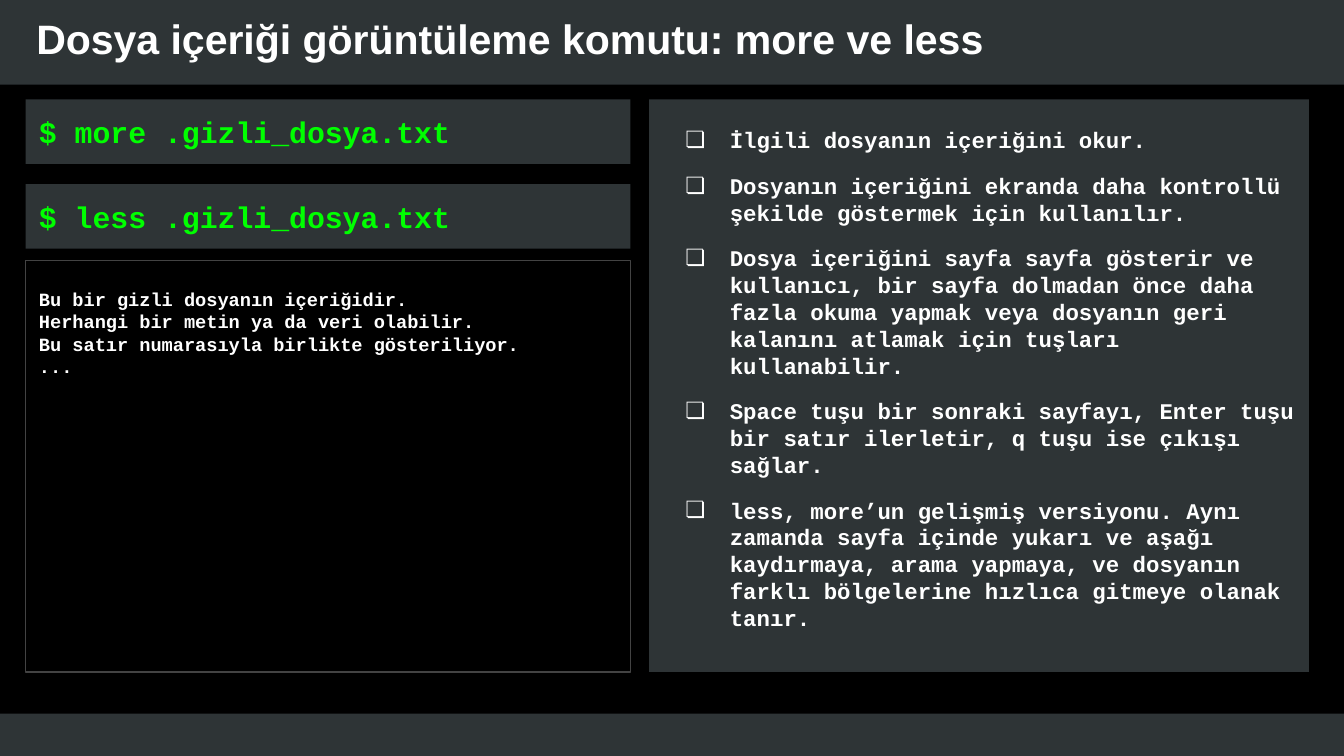
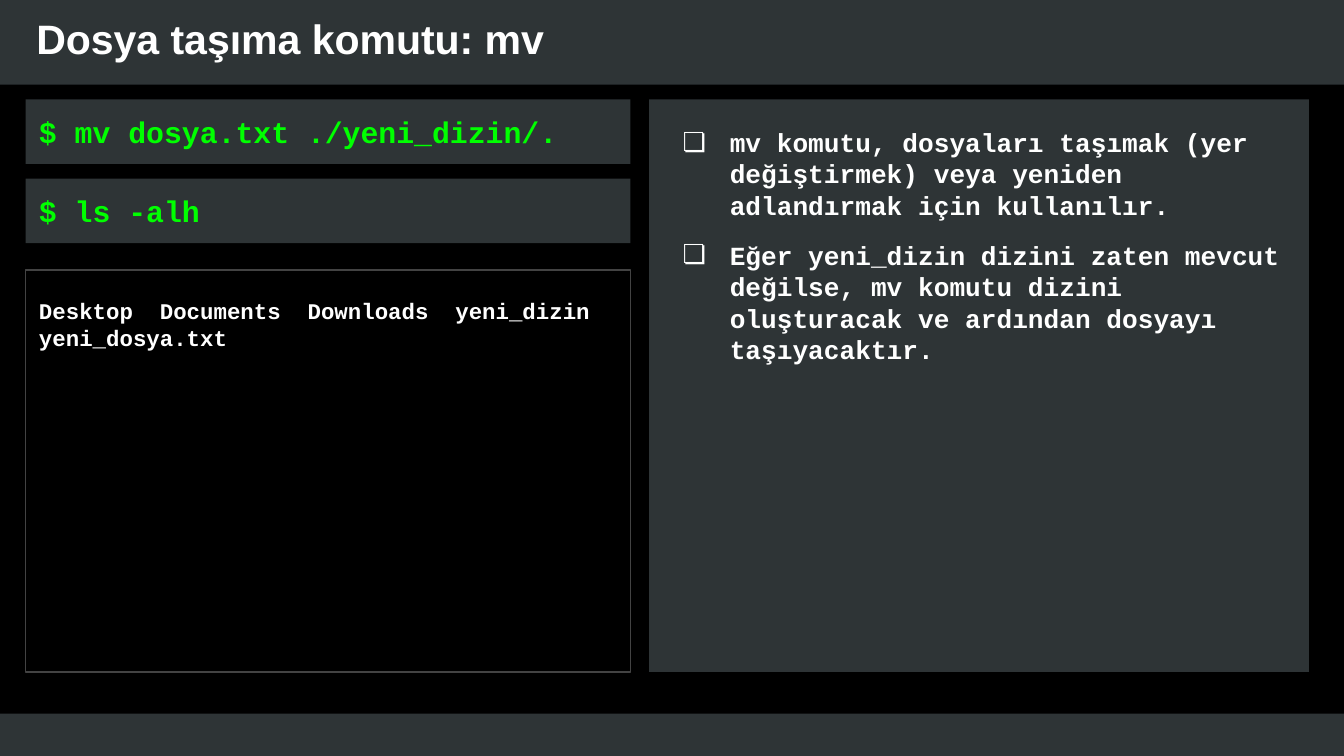
import pptx
import pptx.util
import pptx.dml.color
import pptx.enum.shapes
import pptx.enum.text
from lxml import etree
from pptx.util import Inches, Pt
from pptx.dml.color import RGBColor

BLACK = RGBColor(0x00, 0x00, 0x00)
SLATE = RGBColor(0x2E, 0x34, 0x36)
GREY = RGBColor(0x43, 0x43, 0x43)
WHITE = RGBColor(0xFF, 0xFF, 0xFF)
GREEN = RGBColor(0x00, 0xFF, 0x00)
MONO = "Courier New"
SANS = "Arial"
DRAWING = "{http://schemas.openxmlformats.org/drawingml/2006/main}"

LEFT, LEFT_W = 0.19, 4.5
RIGHT, RIGHT_W = 4.83, 4.91
TOP, BOTTOM = 0.74, 5.0
COMMAND_H = 0.48

SLIDES = [
    dict(
        title="Dosya içeriği görüntüleme komutu: more ve less",
        commands=[(TOP, "$ more .gizli_dosya.txt"),
                  (1.37, "$ less .gizli_dosya.txt")],
        output_top=1.94,
        output_size=10,
        output=["Bu bir gizli dosyanın içeriğidir.",
                "Herhangi bir metin ya da veri olabilir.",
                "Bu satır numarasıyla birlikte gösteriliyor.",
                "..."],
        note_size=12,
        note_hang=0.33,
        notes=["İlgili dosyanın içeriğini okur.",
               "Dosyanın içeriğini ekranda daha kontrollü şekilde göstermek "
               "için kullanılır.",
               "Dosya içeriğini sayfa sayfa gösterir ve kullanıcı, bir sayfa "
               "dolmadan önce daha fazla okuma yapmak veya dosyanın geri "
               "kalanını atlamak için tuşları kullanabilir.",
               "Space tuşu bir sonraki sayfayı, Enter tuşu bir satır "
               "ilerletir, q tuşu ise çıkışı sağlar.",
               "less, more’un gelişmiş versiyonu. Aynı zamanda sayfa içinde "
               "yukarı ve aşağı kaydırmaya, arama yapmaya, ve dosyanın farklı "
               "bölgelerine hızlıca gitmeye olanak tanır."],
    ),
    dict(
        title="Dosya taşıma komutu: mv",
        commands=[(TOP, "$ mv dosya.txt ./yeni_dizin/."),
                  (1.33, "$ ls -alh")],
        output_top=2.01,
        output_size=12,
        output=["Desktop  Documents  Downloads  yeni_dizin  yeni_dosya.txt"],
        note_size=14,
        note_hang=0.35,
        notes=["mv komutu, dosyaları taşımak (yer değiştirmek) veya yeniden "
               "adlandırmak için kullanılır.",
               "Eğer yeni_dizin dizini zaten mevcut değilse, mv komutu dizini "
               "oluşturacak ve ardından dosyayı taşıyacaktır."],
    ),
]


def place(sp, box):
    sp.left, sp.top, sp.width, sp.height = (Inches(v) for v in box)


def set_bullet(p, char, indent, hang):
    """Give the paragraph its indents and a white bullet, or none."""
    ppr = p._p.get_or_add_pPr()
    ppr.set("marL", str(Inches(indent)))
    ppr.set("indent", str(-Inches(hang)))
    if char:
        color = etree.SubElement(ppr, DRAWING + "buClr")
        etree.SubElement(color, DRAWING + "srgbClr", val=str(WHITE))
        etree.SubElement(ppr, DRAWING + "buFont", typeface=SANS)
        etree.SubElement(ppr, DRAWING + "buChar", char=char)
    else:
        etree.SubElement(ppr, DRAWING + "buNone")


def write(sp, lines, size, font=MONO, color=WHITE, middle=False,
          insets=(0.1, 0.2, 0.1, 0.1), bullet=None, indent=0, hang=0, gap=0):
    tf = sp.text_frame
    tf.word_wrap = True
    tf.auto_size = pptx.enum.text.MSO_AUTO_SIZE.NONE
    anchor = pptx.enum.text.MSO_ANCHOR
    tf.vertical_anchor = anchor.MIDDLE if middle else anchor.TOP
    (tf.margin_left, tf.margin_top,
     tf.margin_right, tf.margin_bottom) = (Inches(v) for v in insets)
    for i, line in enumerate(lines):
        p = tf.paragraphs[0] if i == 0 else tf.add_paragraph()
        set_bullet(p, bullet, indent, hang)
        p.alignment = pptx.enum.text.PP_ALIGN.LEFT
        p.line_spacing = 1.0
        p.space_before = Pt(gap if i else 0)
        p.space_after = Pt(0)
        r = p.add_run()
        r.text = line
        r.font.name, r.font.size, r.font.bold = font, Pt(size), True
        r.font.color.rgb = color


def add_bands(master, s):
    """Build the top and bottom bands and move them behind the master."""
    for box in [(-0.03, 5.31, 10.08, 0.37), (-0.03, -0.08, 10.06, 0.71)]:
        sp = s.shapes.add_shape(pptx.enum.shapes.MSO_SHAPE.RECTANGLE,
                                *(Inches(v) for v in box))
        sp.shadow.inherit = False
        sp.fill.solid()
        sp.fill.fore_color.rgb = SLATE
        sp.line.fill.background()
        master.shapes.element.insert(2, sp.element)


def fill_title(sp, text):
    place(sp, (0.17, 0, 8.58, 0.56))
    write(sp, [text], 22, font=SANS, middle=True, insets=(0.1,) * 4)


def fill_command(sp, top, text):
    place(sp, (LEFT, top, LEFT_W, COMMAND_H))
    sp.fill.solid()
    sp.fill.fore_color.rgb = SLATE
    write(sp, [text], 16, color=GREEN, middle=True, insets=(0,) * 4,
          indent=0.1)


def fill_output(sp, top, lines, size):
    place(sp, (LEFT, top, LEFT_W, BOTTOM - top))
    sp.line.color.rgb = GREY
    sp.line.width = Pt(0.75)
    write(sp, lines, size)


def fill_notes(sp, lines, size, hang):
    place(sp, (RIGHT, TOP, RIGHT_W, BOTTOM - TOP))
    sp.fill.solid()
    sp.fill.fore_color.rgb = SLATE
    write(sp, lines, size, bullet="❏", indent=0.5, hang=hang, gap=10)


def command_slide(s, content):
    first, notes, second, output = (s.placeholders[i] for i in range(1, 5))
    fill_title(s.shapes.title, content["title"])
    for sp, (top, text) in zip((first, second), content["commands"]):
        fill_command(sp, top, text)
    fill_output(output, content["output_top"], content["output"],
                content["output_size"])
    fill_notes(notes, content["notes"], content["note_size"],
               content["note_hang"])


def main():
    prs = pptx.Presentation()
    prs.slide_width = Inches(10)
    prs.slide_height = prs.slide_width * 9 // 16
    master = prs.slide_master
    master.background.fill.solid()
    master.background.fill.fore_color.rgb = BLACK
    layout = prs.slide_layouts.get_by_name("Comparison")
    for content in SLIDES:
        command_slide(prs.slides.add_slide(layout), content)
    add_bands(master, prs.slides[0])
    prs.save("out.pptx")


if __name__ == "__main__":
    main()
